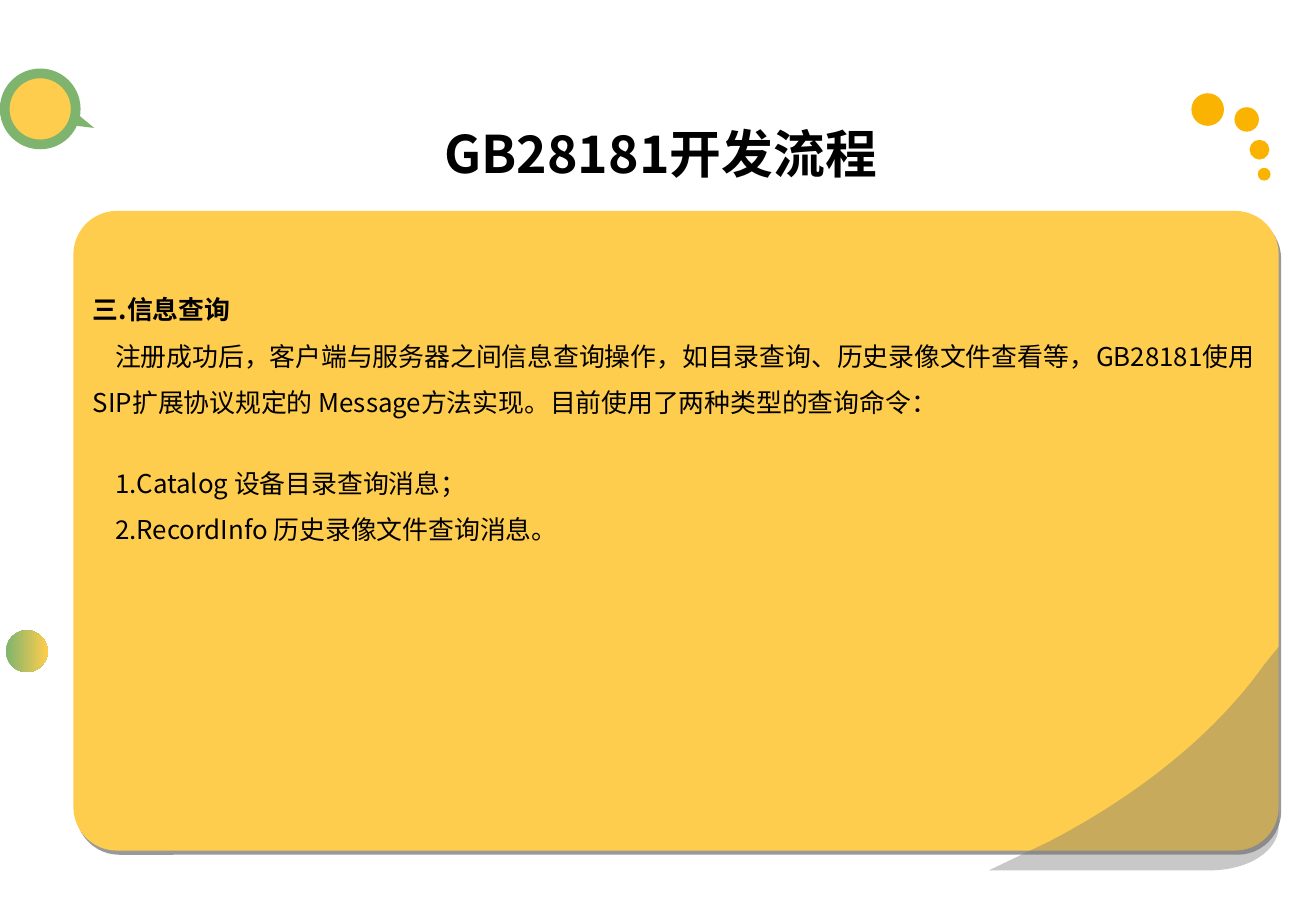
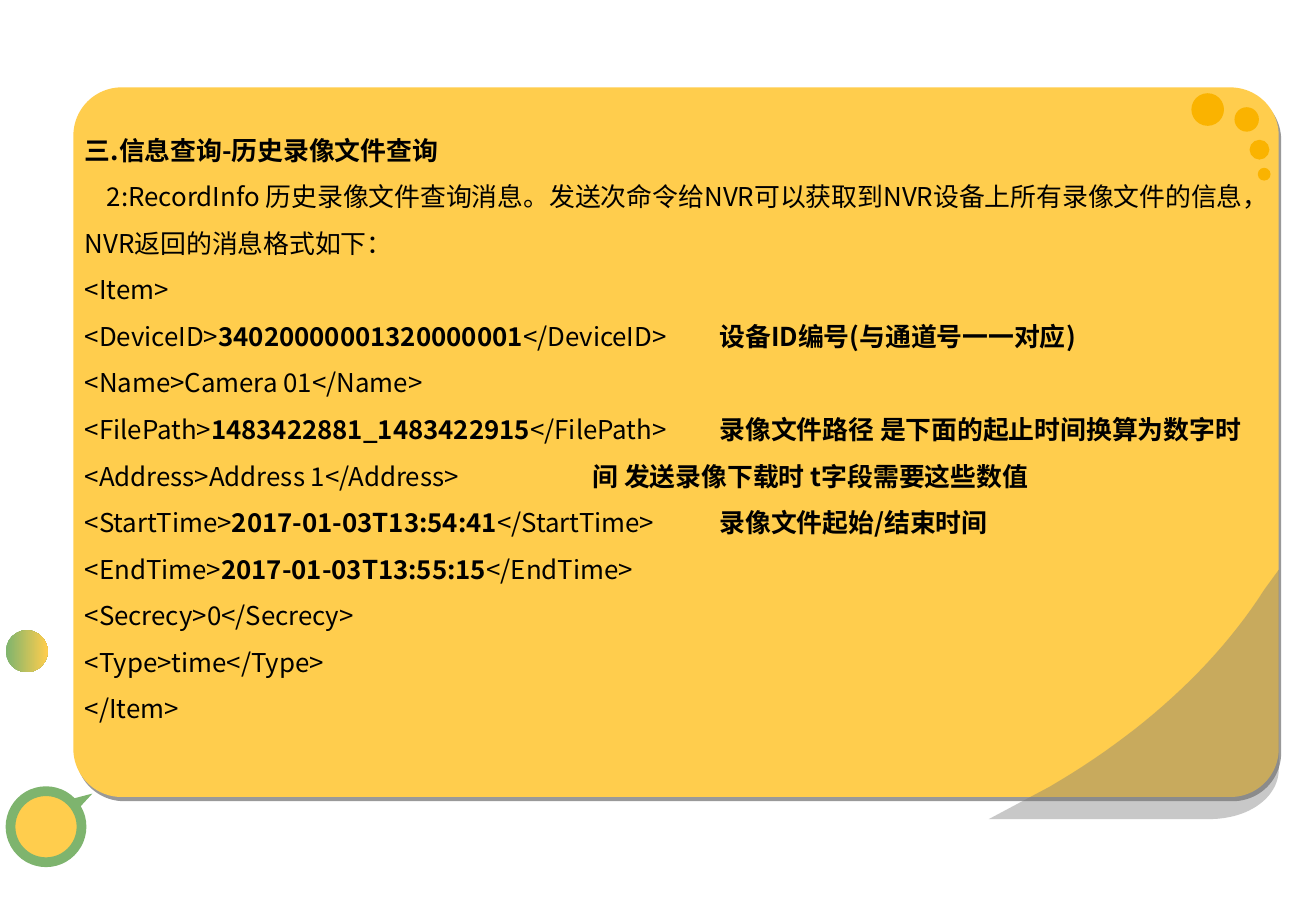
from lxml import etree
from pptx import Presentation
from pptx.dml.color import RGBColor
from pptx.enum.shapes import MSO_SHAPE
from pptx.enum.text import MSO_ANCHOR, PP_ALIGN
from pptx.oxml.ns import qn
from pptx.util import Inches, Pt

OVAL, ROUNDED, TRIANGLE = MSO_SHAPE.OVAL, MSO_SHAPE.ROUNDED_RECTANGLE, MSO_SHAPE.ISOSCELES_TRIANGLE
TOP, MIDDLE = MSO_ANCHOR.TOP, MSO_ANCHOR.MIDDLE
LEFT, CENTER = PP_ALIGN.LEFT, PP_ALIGN.CENTER

FONT = "Noto Sans CJK SC"
BLACK, GRAY = "000000", "777777"
GREEN, YELLOW, AMBER = "7EB46E", "FFCD4D", "FAB300"
TAB_STEP, TAB_COUNT = 1.09, 8
INDENT = 0.19
CARD_LEFT, CARD_WIDTH = 0.63, 10.35
FOLD_LEFT, FOLD_RIGHT = 8.49, 10.98
CORNER_CURVE = [(1, 0.8), (1, 0.91), (0.9, 1), (0.76, 1)]
EDGE_CURVE = [(0.21, 0.87), (0.52, 0.66), (0.78, 0.39), (0.95, 0.08)]
CORNER_DOTS = [(10.23, 0.8, 0.28), (10.6, 0.92, 0.21), (10.73, 1.2, 0.17), (10.8, 1.44, 0.11)]

QUERY_LINES = [
    dict(parts=["", "三.信息查询"]),
    dict(parts=["注册成功后，客户端与服务器之间信息查询操作，如目录查询、历史录像文件查看等，"
                "GB28181使用 SIP扩展协议规定的 Message方法实现。目前使用了两种类型的查询命令："],
         indent=INDENT),
    dict(parts=["1.Catalog 设备目录查询消息；"], indent=INDENT, before=21),
    dict(parts=["2.RecordInfo 历史录像文件查询消息。"], indent=INDENT),
]
RECORD_LINES = [
    dict(parts=["", "三.信息查询-历史录像文件查询"]),
    dict(parts=["2:RecordInfo 历史录像文件查询消息。发送次命令给NVR可以获取到NVR设备上所有录像文件的信息，"
                "NVR返回的消息格式如下："], indent=INDENT),
    dict(parts=["<Item>"]),
    dict(parts=["<DeviceID>", "34020000001320000001", "</DeviceID>\t", "设备ID编号(与通道号一一对应)"]),
    dict(parts=["<Name>Camera 01</Name>"]),
    dict(parts=["<FilePath>", "1483422881_1483422915", "</FilePath>\t",
                "录像文件路径 是下面的起止时间换算为数字时"]),
    dict(parts=["<Address>Address 1</Address>\t\t", "间 发送录像下载时 t字段需要这些数值"]),
    dict(parts=["<StartTime>", "2017-01-03T13:54:41", "</StartTime>\t", "录像文件起始/结束时间"]),
    dict(parts=["<EndTime>", "2017-01-03T13:55:15", "</EndTime>"]),
    dict(parts=["<Secrecy>0</Secrecy>"]),
    dict(parts=["<Type>time</Type>"]),
    dict(parts=["</Item>"]),
]


def rgb(value):
    return RGBColor.from_string(value)


def bezier(points, steps=24):
    a, b, c, d = points
    for step in range(steps + 1):
        t = step / steps
        u = 1 - t
        yield tuple(u**3 * a[i] + 3 * u * u * t * b[i] + 3 * u * t * t * c[i] + t**3 * d[i]
                    for i in (0, 1))


def write(paragraph, text, size=16, bold=False, color=BLACK):
    run = paragraph.add_run()
    run.text = text
    font = run.font
    font.size, font.bold, font.name = Pt(size), bold, FONT
    font.color.rgb = rgb(color)
    etree.SubElement(run._r.get_or_add_rPr(), qn("a:ea"), typeface=FONT)


class Deck:
    def __init__(self):
        self.presentation = Presentation()
        self.presentation.slide_width = Inches(11.3)
        self.presentation.slide_height = Inches(7.87)
        self.slide = None

    def new_slide(self, card_top, card_height, fold_top, fold_bottom):
        self.slide = self.presentation.slides.add_slide(self.presentation.slide_layouts[6])
        self.gradient_dot()
        self.card(card_top, card_height)
        self.fold(fold_top, fold_bottom)
        for left, top, size in CORNER_DOTS:
            self.shape(OVAL, left, top, size, size, AMBER)

    def shape(self, preset, left, top, width, height, fill, rotation=0):
        shape = self.slide.shapes.add_shape(preset, Inches(left), Inches(top), Inches(width), Inches(height))
        shape.rotation = rotation
        return self.paint(shape, fill)

    def paint(self, shape, fill):
        shape.shadow.inherit = False
        shape.fill.solid()
        shape.fill.fore_color.rgb = rgb(fill)
        shape.line.fill.background()
        return shape

    def gradient_dot(self):
        fill = self.shape(OVAL, 0.05, 5.41, 0.36, 0.36, GREEN).fill
        fill.gradient()
        fill.gradient_angle = 0
        for stop, color in zip(fill.gradient_stops, (GREEN, YELLOW)):
            stop.color.rgb = rgb(color)

    def card(self, top, height):
        card = self.shape(ROUNDED, CARD_LEFT, top, CARD_WIDTH, height, YELLOW)
        card.adjustments[0] = 0.068
        effects = card._element.spPr.find(qn("a:effectLst"))
        shadow = etree.SubElement(effects, qn("a:outerShdw"), blurRad="0", dist=str(Pt(3)),
                                  dir=str(60 * 60000), algn="ctr", rotWithShape="0")
        color = etree.SubElement(shadow, qn("a:srgbClr"), val=BLACK)
        etree.SubElement(color, qn("a:alpha"), val="40000")

    def fold(self, top, bottom):
        outline = [(1, 0), *bezier(CORNER_CURVE), (0, 1), *bezier(EDGE_CURVE)]
        points = [(Inches(FOLD_LEFT + x * (FOLD_RIGHT - FOLD_LEFT)), Inches(top + y * (bottom - top)))
                  for x, y in outline]
        builder = self.slide.shapes.build_freeform(*points[0])
        builder.add_line_segments(points[1:], close=True)
        fold = self.paint(builder.convert_to_shape(), GRAY)
        color = fold._element.spPr.find(qn("a:solidFill")).find(qn("a:srgbClr"))
        etree.SubElement(color, qn("a:alpha"), val="40000")

    def bubble(self, left, top, tail_left, tail_top, tail_angle):
        ring = self.shape(OVAL, left, top, 0.61, 0.61, YELLOW)
        ring.line.color.rgb = rgb(GREEN)
        ring.line.width = Pt(6)
        self.shape(TRIANGLE, tail_left, tail_top, 0.1, 0.17, GREEN, tail_angle)

    def text_frame(self, left, top, width, height, anchor=TOP):
        box = self.slide.shapes.add_textbox(Inches(left), Inches(top), Inches(width), Inches(height))
        frame = box.text_frame
        frame.word_wrap = True
        frame.vertical_anchor = anchor
        return frame

    def title(self, text):
        paragraph = self.text_frame(2.26, 0.81, 6.83, 1, MIDDLE).paragraphs[0]
        paragraph.alignment = CENTER
        write(paragraph, text, size=32, bold=True)

    def body(self, lines, left, top, height):
        frame = self.text_frame(left, top, 10.21, height)
        for index, line in enumerate(lines):
            paragraph = frame.add_paragraph() if index else frame.paragraphs[0]
            self.body_line(paragraph, **line)

    def body_line(self, paragraph, parts, indent=0, before=0):
        paragraph.alignment = LEFT
        paragraph.line_spacing = 1.5
        if before:
            paragraph.space_before = Pt(before)
        properties = paragraph._p.get_or_add_pPr()
        if indent:
            properties.set("indent", str(Inches(indent)))
        else:
            tabs = etree.SubElement(properties, qn("a:tabLst"))
            for number in range(TAB_COUNT):
                etree.SubElement(tabs, qn("a:tab"), pos=str(Inches(number * TAB_STEP)), algn="l")
        for position, text in enumerate(parts):
            if text:
                write(paragraph, text, bold=position % 2 == 1)


def main():
    deck = Deck()

    deck.new_slide(card_top=1.81, card_height=5.49, fold_top=5.55, fold_bottom=7.47)
    deck.bubble(0.04, 0.63, tail_left=0.68, tail_top=0.98, tail_angle=113.2)
    deck.body(QUERY_LINES, left=0.7, top=2.34, height=2.8)
    deck.title("GB28181开发流程")

    deck.new_slide(card_top=0.75, card_height=6.09, fold_top=4.89, fold_bottom=7.03)
    deck.bubble(0.09, 6.79, tail_left=0.67, tail_top=6.77, tail_angle=59.1)
    deck.body(RECORD_LINES, left=0.63, top=0.97, height=5.8)

    deck.presentation.save("out.pptx")


if __name__ == "__main__":
    main()
